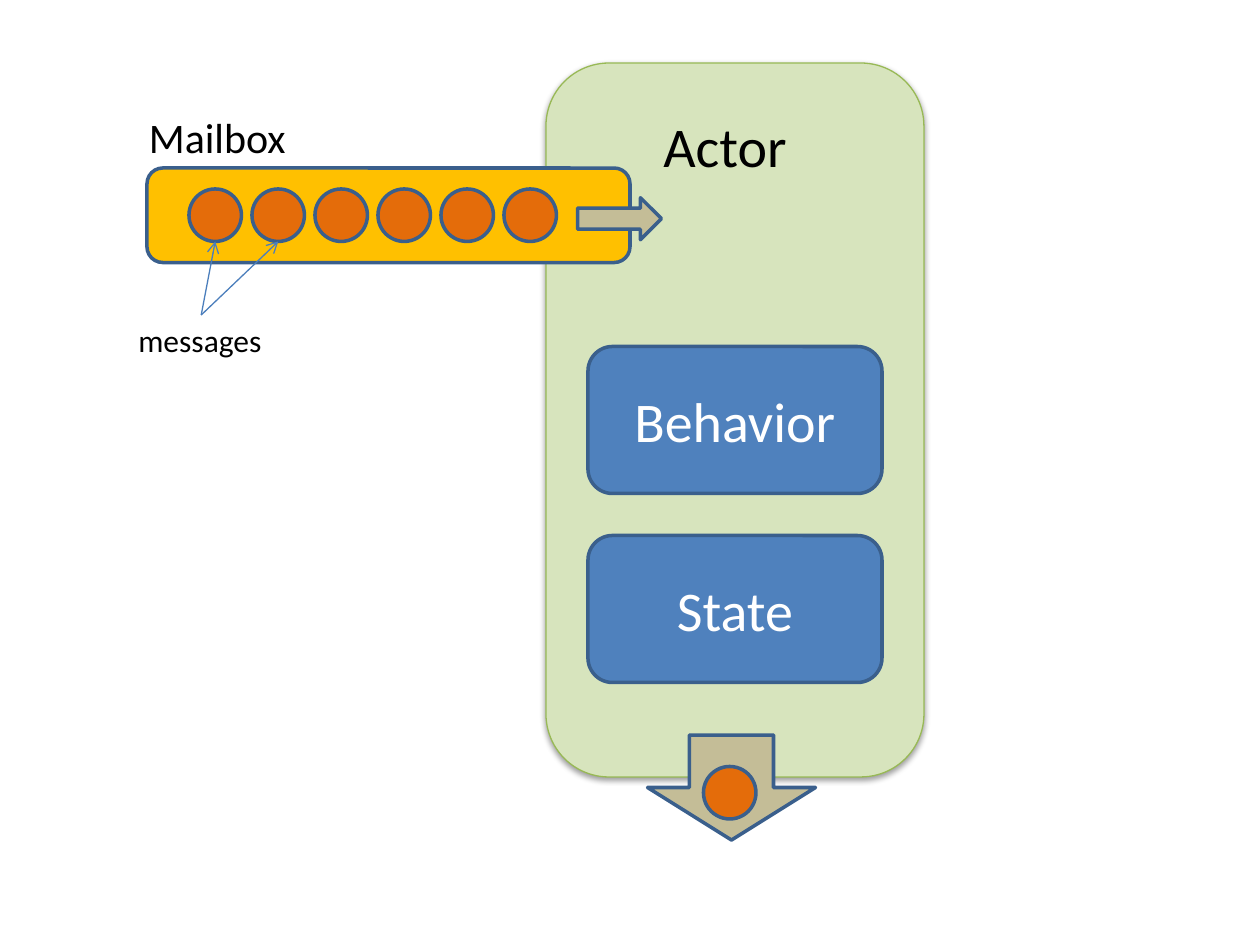
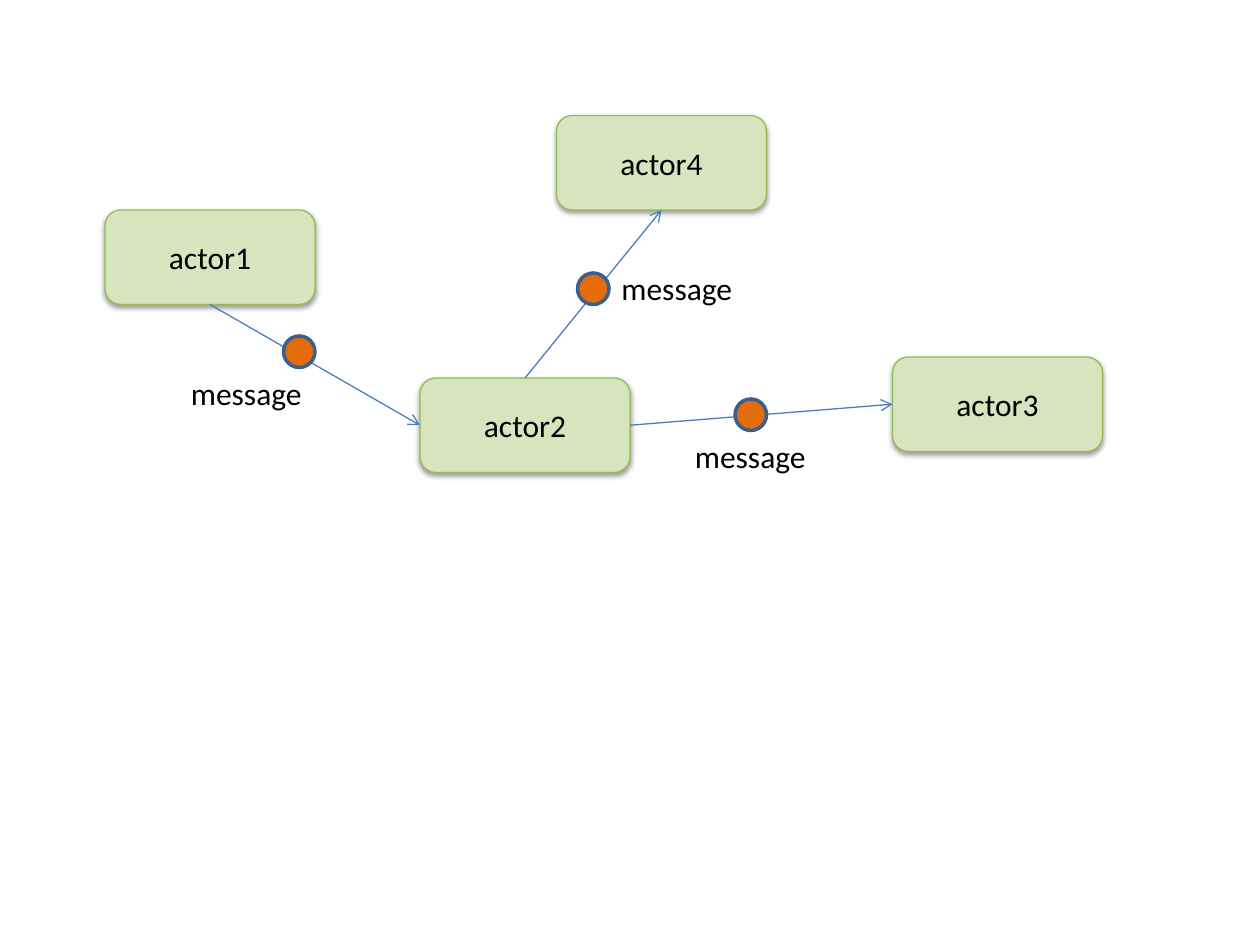
from lxml import etree
from pptx import Presentation
from pptx.dml.color import RGBColor
from pptx.enum.shapes import MSO_CONNECTOR, MSO_SHAPE
from pptx.enum.text import MSO_ANCHOR, MSO_AUTO_SIZE, PP_ALIGN
from pptx.oxml.ns import qn
from pptx.util import Pt

ROUND = MSO_SHAPE.ROUNDED_RECTANGLE
OVAL = MSO_SHAPE.OVAL
RIGHT_ARROW = MSO_SHAPE.RIGHT_ARROW
DOWN_ARROW = MSO_SHAPE.DOWN_ARROW
STRAIGHT = MSO_CONNECTOR.STRAIGHT
MIDDLE = MSO_ANCHOR.MIDDLE
CENTER = PP_ALIGN.CENTER
GROW = MSO_AUTO_SIZE.SHAPE_TO_FIT_TEXT

BLACK = RGBColor(0x00, 0x00, 0x00)
WHITE = RGBColor(0xFF, 0xFF, 0xFF)
PALE = RGBColor(0xD7, 0xE4, 0xBD)
GREEN = RGBColor(0x98, 0xB9, 0x55)
BLUE = RGBColor(0x4F, 0x81, 0xBD)
NAVY = RGBColor(0x3A, 0x5F, 0x8C)
WIRE = RGBColor(0x4B, 0x7E, 0xBC)
GOLD = RGBColor(0xFF, 0xC0, 0x00)
ORANGE = RGBColor(0xE4, 0x6C, 0x0A)
TAN = RGBColor(0xC4, 0xBD, 0x97)
FONT = "Calibri"

TOP, LEFT, BOTTOM, RIGHT = range(4)

PARTS = ["Behavior", "State"]
QUEUE = 6
BALL = 30
STEP = 36
QUEUE_X, QUEUE_Y = 108, 108
NOTED = [0, 1]

ACTORS = {
    "actor1": (60, 120),
    "actor2": (240, 216),
    "actor3": (510, 204),
    "actor4": (318, 66),
}
ACTOR_W, ACTOR_H = 120, 54
DOT = 18
SENDS = [
    ("actor1", BOTTOM, "actor2", LEFT, (162, 192), (102, 210)),
    ("actor2", RIGHT, "actor3", LEFT, (420, 228), (390, 246)),
    ("actor2", TOP, "actor4", BOTTOM, (330, 156), (348, 150)),
]


def write(frame, text, size, color):
    para = frame.paragraphs[0]
    run = para.add_run()
    run.text = text
    run.font.name = FONT
    run.font.size = Pt(size)
    run.font.color.rgb = color
    return para


def draw(slide, kind, box, fill, line=NAVY, weight=2):
    shape = slide.shapes.add_shape(kind, *map(Pt, box))
    shape.fill.solid()
    shape.fill.fore_color.rgb = fill
    shape.line.color.rgb = line
    shape.line.width = Pt(weight)
    shape.shadow.inherit = False
    return shape


def fill_text(shape, text, size, color):
    shape.text_frame.vertical_anchor = MIDDLE
    write(shape.text_frame, text, size, color).alignment = CENTER


def draw_actor(slide, box):
    shape = draw(slide, ROUND, box, PALE, GREEN, 0.75)
    effects = shape._element.spPr.find(qn("a:effectLst"))
    shade = etree.SubElement(
        effects, qn("a:outerShdw"), blurRad=str(Pt(3.1)), dist=str(Pt(1.6)),
        dir="5400000", rotWithShape="0")
    tint = etree.SubElement(shade, qn("a:srgbClr"), val=str(BLACK))
    etree.SubElement(tint, qn("a:alpha"), val="38000")
    return shape


def draw_ball(slide, x, y, size):
    return draw(slide, OVAL, (x, y, size, size), ORANGE)


def label(slide, box, text, size):
    shape = slide.shapes.add_textbox(*map(Pt, box))
    shape.text_frame.word_wrap = False
    shape.text_frame.auto_size = GROW
    write(shape.text_frame, text, size, BLACK)
    return shape


def draw_wire(slide, start=(0, 0), end=(0, 0)):
    wire = slide.shapes.add_connector(STRAIGHT, *map(Pt, start + end))
    wire.line.color.rgb = WIRE
    wire.line.width = Pt(0.75)
    etree.SubElement(wire.line._get_or_add_ln(), qn("a:tailEnd"), type="arrow")
    etree.SubElement(wire._element.spPr, qn("a:effectLst"))
    return wire


def build_inside(slide):
    draw_actor(slide, (312, 36, 216, 408))
    label(slide, (372, 60, 86, 46), "Actor", 32)
    for i, name in enumerate(PARTS):
        part = draw(slide, ROUND, (336, 198 + 108 * i, 168, 84), BLUE)
        fill_text(part, name, 32, WHITE)

    draw(slide, ROUND, (84, 96, 276, 54), GOLD)
    for i in range(QUEUE):
        draw_ball(slide, QUEUE_X + STEP * i, QUEUE_Y, BALL)
    draw(slide, RIGHT_ARROW, (330, 113, 48, 24), TAN)
    label(slide, (78, 60, 94, 36), "Mailbox", 24)

    draw(slide, DOWN_ARROW, (370, 420, 96, 60), TAN)
    draw_ball(slide, 402, 438, BALL)

    note = label(slide, (72, 180, 86, 29), "messages", 18)
    for i in NOTED:
        end = (QUEUE_X + STEP * i + BALL / 2, QUEUE_Y + BALL)
        draw_wire(slide, end=end).begin_connect(note, TOP)


def build_network(slide):
    actors = {}
    for name, (x, y) in ACTORS.items():
        actors[name] = draw_actor(slide, (x, y, ACTOR_W, ACTOR_H))
        fill_text(actors[name], name, 18, BLACK)
    for source, out, target, into, dot, note in SENDS:
        wire = draw_wire(slide)
        wire.begin_connect(actors[source], out)
        wire.end_connect(actors[target], into)
        draw_ball(slide, *dot, DOT)
        label(slide, (*note, 78.5, 29), "message", 18)


def main():
    deck = Presentation()
    deck.slide_width, deck.slide_height = Pt(720), Pt(540)
    blank = deck.slide_layouts[6]
    for build in (build_inside, build_network):
        build(deck.slides.add_slide(blank))
    deck.save("out.pptx")


if __name__ == "__main__":
    main()
